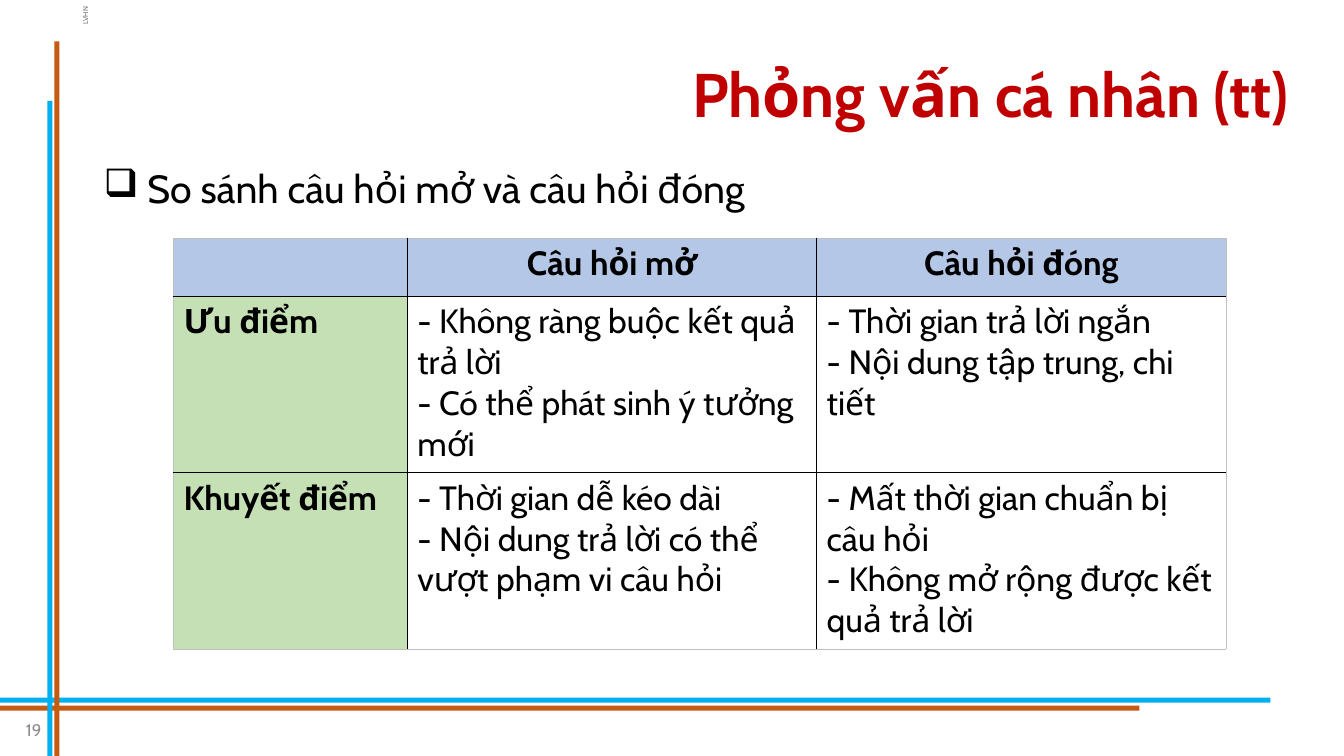
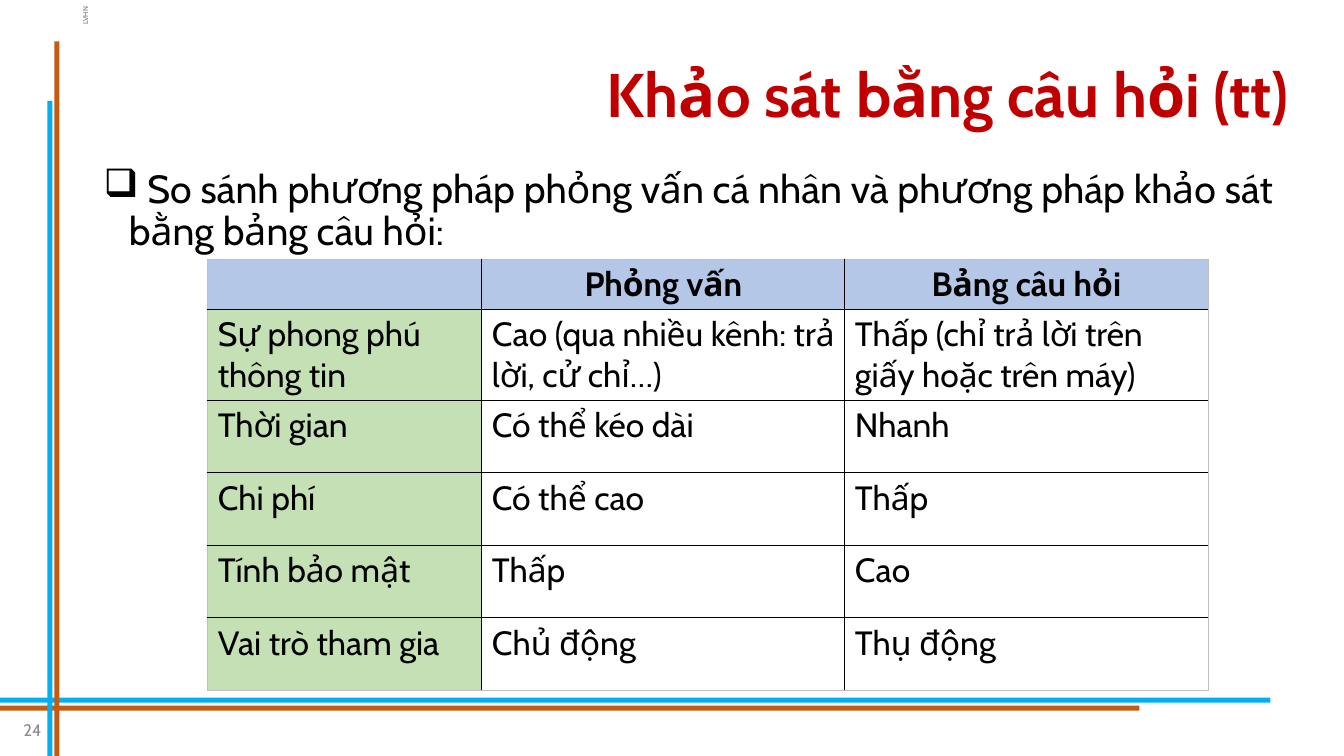
"""Build two comparison slides on interviews and questionnaires."""
from dataclasses import dataclass

from lxml import etree
from pptx import Presentation
from pptx.dml.color import RGBColor
from pptx.enum.shapes import MSO_SHAPE as Preset
from pptx.enum.text import MSO_ANCHOR as Anchor, MSO_AUTO_SIZE as AutoSize, PP_ALIGN as Align
from pptx.oxml.ns import qn
from pptx.util import Inches, Pt

FONT = "Cabin"
BLACK, RED, GRAY, TAG_GRAY = "000000", "C00000", "8C8C8C", "6B6F74"
BLUE, ORANGE = "00B0F0", "C55A11"
HEADER_FILL, LABEL_FILL, EDGE = "B4C7E7", "C5E0B4", "BFBFBF"


@dataclass(frozen=True)
class Frame:
    """A rectangle in inches."""
    left: float
    top: float
    width: float
    height: float

    def lengths(self) -> tuple:
        """Return the four lengths for a shape call."""
        return tuple(Inches(n) for n in (self.left, self.top, self.width, self.height))


@dataclass(frozen=True)
class Band:
    """A coloured rule shared by all slides."""
    frame: Frame
    color: str


@dataclass(frozen=True)
class Comparison:
    """The content of one slide with its table."""
    number: int
    title: str
    lead: str
    left: float
    top: float
    columns: tuple
    heights: tuple
    rows: tuple
    bold_labels: bool


TITLE_FRAME = Frame(0.92, 0.24, 11.97, 1.45)
LEAD_FRAME = Frame(0.93, 1.63, 11.96, 5.12)
NUMBER_FRAME = Frame(0, 7.04, 0.51, 0.4)
TAG_FRAME = Frame(0.66, 0.06, 0.38, 0.19)
BANDS = (
    Band(Frame(0, 6.92, 12.6, 0.05), BLUE),
    Band(Frame(0, 7, 11.3, 0.05), ORANGE),
    Band(Frame(0.47, 1, 0.05, 6.5), BLUE),
    Band(Frame(0.54, 0.41, 0.05, 7.09), ORANGE),
)
COMPARISONS = (
    Comparison(
        19, "Phỏng vấn cá nhân (tt)", " So sánh câu hỏi mở và câu hỏi đóng",
        1.72, 2.36, (2.32, 4.06, 4.06), (0.58, 1.75, 1.75),
        (
            ("", "Câu hỏi mở", "Câu hỏi đóng"),
            ("Ưu điểm",
             "- Không ràng buộc kết quả trả lời\n- Có thể phát sinh ý tưởng mới",
             "- Thời gian trả lời ngắn\n- Nội dung tập trung, chi tiết"),
            ("Khuyết điểm",
             "- Thời gian dễ kéo dài\n- Nội dung trả lời có thể vượt phạm vi câu hỏi",
             "- Mất thời gian chuẩn bị câu hỏi\n- Không mở rộng được kết quả trả lời"),
        ),
        True,
    ),
    Comparison(
        24, "Khảo sát bằng câu hỏi (tt)",
        " So sánh phương pháp phỏng vấn cá nhân và phương pháp khảo sát bằng bảng câu hỏi:",
        2.06, 2.57, (2.72, 3.6, 3.6), (0.4,) + (0.72,) * 5,
        (
            ("", "Phỏng vấn", "Bảng câu hỏi"),
            ("Sự phong phú thông tin", "Cao (qua nhiều kênh: trả lời, cử chỉ…)",
             "Thấp (chỉ trả lời trên giấy hoặc trên máy)"),
            ("Thời gian", "Có thể kéo dài", "Nhanh"),
            ("Chi phí", "Có thể cao", "Thấp"),
            ("Tính bảo mật", "Thấp", "Cao"),
            ("Vai trò tham gia", "Chủ động", "Thụ động"),
        ),
        False,
    ),
)


def rgb(color: str) -> RGBColor:
    """Turn a hex string into a colour."""
    return RGBColor.from_string(color)


def style(para, size: float, color: str, bold: bool = False, align=Align.LEFT) -> None:
    """Set the font and alignment of a paragraph."""
    para.alignment = align
    para.font.name = FONT
    para.font.size = Pt(size)
    para.font.bold = bold
    para.font.color.rgb = rgb(color)


def add_text(page, frame: Frame, text: str, size: float, color: str, align=Align.LEFT,
             anchor=Anchor.TOP, wrap: bool = True):
    """Add a text box with one paragraph."""
    box = page.shapes.add_textbox(*frame.lengths())
    box.text_frame.word_wrap = wrap
    box.text_frame.vertical_anchor = anchor
    box.text_frame.text = text
    style(box.text_frame.paragraphs[0], size, color, align=align)
    return box


def add_band(page, band: Band):
    """Add one coloured rule."""
    shape = page.shapes.add_shape(Preset.RECTANGLE, *band.frame.lengths())
    shape.shadow.inherit = False
    shape.fill.solid()
    shape.fill.fore_color.rgb = rgb(band.color)
    shape.line.fill.background()
    return shape


def decorate_layout(layout, page) -> None:
    """Draw the shared parts on a page and move them to its layout."""
    tag = add_text(page, TAG_FRAME, "LVHN", 5, TAG_GRAY, Align.CENTER, wrap=False)
    tag.rotation = 270
    for shape in [tag] + [add_band(page, band) for band in BANDS]:
        layout.shapes.element.append(shape.element)


def set_title(page, text: str) -> None:
    """Place and format the title."""
    title = page.shapes.title
    title.left, title.top, title.width, title.height = TITLE_FRAME.lengths()
    title.text_frame.text = text
    title.text_frame.auto_size = AutoSize.NONE
    title.text_frame.vertical_anchor = Anchor.MIDDLE
    para = title.text_frame.paragraphs[0]
    para.line_spacing = 0.9
    style(para, 44, RED, True, Align.RIGHT)


def add_lead(page, text: str) -> None:
    """Add the bulleted introduction."""
    para = add_text(page, LEAD_FRAME, text, 28, BLACK).text_frame.paragraphs[0]
    para.line_spacing = 0.9
    para.space_before = Pt(10)
    properties = para._p.get_or_add_pPr()
    properties.set("marL", str(Inches(0.25)))
    properties.set("indent", str(-Inches(0.25)))
    etree.SubElement(properties, qn("a:buChar")).set("char", "❑")


def set_borders(cell, outer: dict) -> None:
    """Draw black inner borders and thin gray outer ones."""
    properties = cell._tc.get_or_add_tcPr()
    for index, (side, is_outer) in enumerate(outer.items()):
        line = etree.Element(qn(f"a:{side}"), w=str(Pt(0.5 if is_outer else 1)))
        fill = etree.SubElement(line, qn("a:solidFill"))
        etree.SubElement(fill, qn("a:srgbClr")).set("val", EDGE if is_outer else BLACK)
        properties.insert(index, line)


def fill_cell(cell, text: str, row: int, column: int, bold: bool) -> None:
    """Write and colour one table cell."""
    cell.text_frame.text = text
    for para in cell.text_frame.paragraphs:
        style(para, 24, BLACK, bold, Align.LEFT if row else Align.CENTER)
    if row and column:
        cell.fill.background()
    else:
        cell.fill.solid()
        cell.fill.fore_color.rgb = rgb(LABEL_FILL if row else HEADER_FILL)


def add_comparison_table(page, item: Comparison) -> None:
    """Add the comparison table."""
    frame = Frame(item.left, item.top, sum(item.columns), sum(item.heights))
    last_row, last_column = len(item.rows) - 1, len(item.columns) - 1
    table = page.shapes.add_table(last_row + 1, last_column + 1, *frame.lengths()).table
    table.first_row = table.horz_banding = False
    for column, width in zip(table.columns, item.columns):
        column.width = Inches(width)
    for row, height in zip(table.rows, item.heights):
        row.height = Inches(height)
    for r, texts in enumerate(item.rows):
        for c, text in enumerate(texts):
            cell = table.cell(r, c)
            fill_cell(cell, text, r, c, r == 0 or (c == 0 and item.bold_labels))
            set_borders(cell, {"lnL": c == 0, "lnR": c == last_column,
                               "lnT": r == 0, "lnB": r == last_row})


def main() -> None:
    """Build and save the deck."""
    deck = Presentation()
    deck.slide_width, deck.slide_height = Inches(13.33), Inches(7.5)
    layout = deck.slide_layouts[5]
    for index, item in enumerate(COMPARISONS):
        page = deck.slides.add_slide(layout)
        if index == 0:
            decorate_layout(layout, page)
        set_title(page, item.title)
        add_lead(page, item.lead)
        add_comparison_table(page, item)
        add_text(page, NUMBER_FRAME, str(item.number), 12, GRAY, Align.RIGHT, Anchor.MIDDLE)
    deck.save("out.pptx")


if __name__ == "__main__":
    main()
